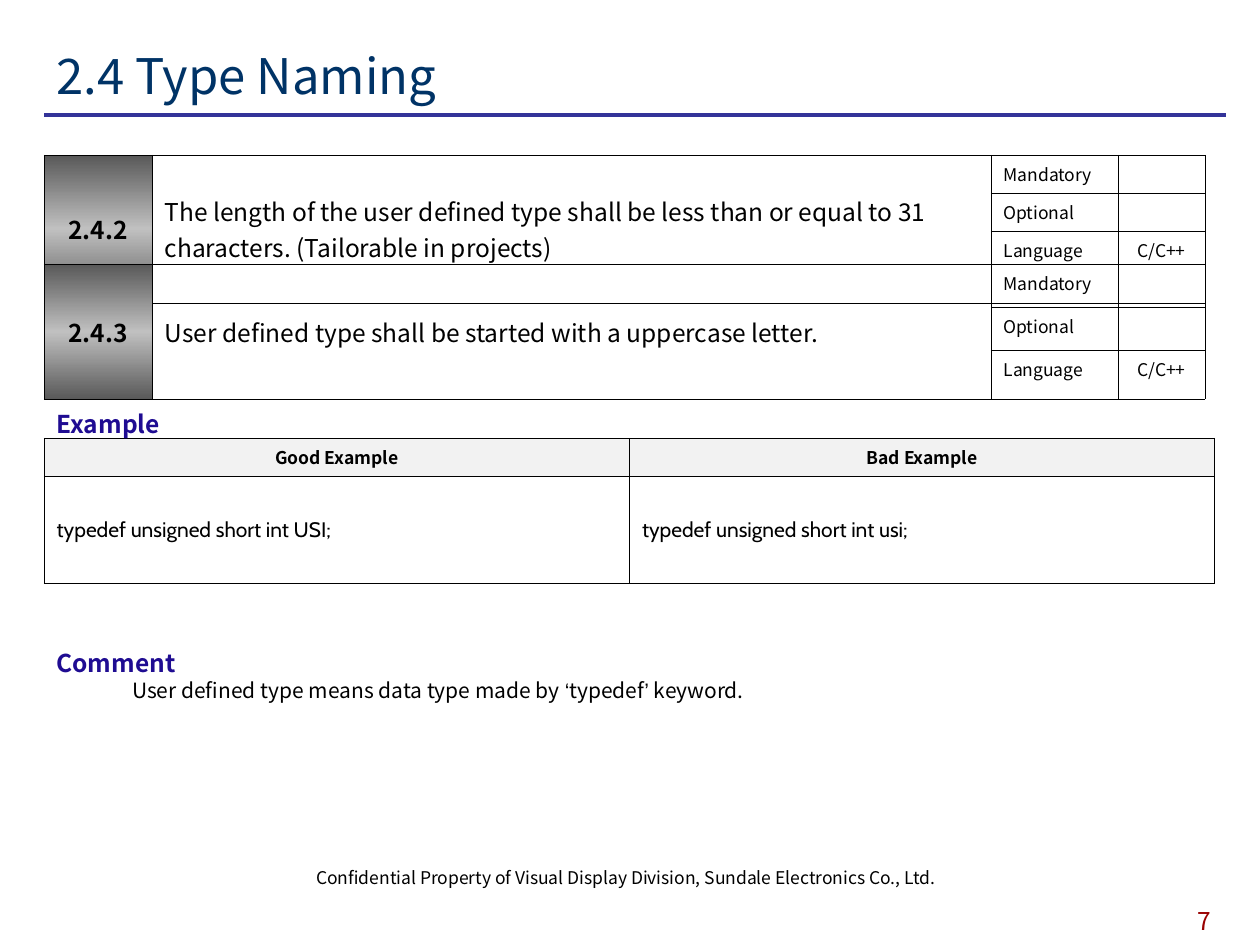
from lxml.etree import SubElement
from pptx import Presentation
from pptx.dml.color import RGBColor
from pptx.enum.shapes import MSO_CONNECTOR
from pptx.enum.text import MSO_ANCHOR, MSO_AUTO_SIZE, PP_ALIGN
from pptx.oxml.ns import qn
from pptx.util import Pt

COLORS = {"text": "000000", "title": "003366", "rule": "333399", "head": "1F0C92",
          "page": "990000", "band": "F2F2F2", "dark": "595959", "light": "C0C0C0"}
FONT = "Noto Sans CJK KR"
LEFT = 25.2
CENTER, JUSTIFY = PP_ALIGN.CENTER, PP_ALIGN.JUSTIFY
MIDDLE = MSO_ANCHOR.MIDDLE
THIN, THICK = 0.23, 0.45


class Page:
    """Holds the style and the slide being filled."""

    def __init__(self, slide):
        self.slide = slide

    def add_runs(self, frame, runs, size, color="text", bold=False, align=None):
        """Fill one paragraph; runs is a list of (words, font) pairs."""
        para = frame.paragraphs[0]
        if align is not None:
            para.alignment = align
        for words, name in runs:
            run = para.add_run()
            run.text = words
            font = run.font
            font.name, font.size, font.bold = name, Pt(size), bold
            font.color.rgb = RGBColor.from_string(COLORS[color])

    def text(self, box, runs, size, wrap=True, grow=False, anchor=None, **style):
        frame = self.slide.shapes.add_textbox(*map(Pt, box)).text_frame
        frame.word_wrap = wrap
        frame.auto_size = MSO_AUTO_SIZE.SHAPE_TO_FIT_TEXT if grow else MSO_AUTO_SIZE.NONE
        if anchor is not None:
            frame.vertical_anchor = anchor
        self.add_runs(frame, runs, size, **style)

    def line(self, x, y, end, color, width):
        rule = self.slide.shapes.add_connector(
            MSO_CONNECTOR.STRAIGHT, Pt(x), Pt(y), Pt(end), Pt(y))
        rule.line.color.rgb = RGBColor.from_string(COLORS[color])
        rule.line.width = Pt(width)
        SubElement(rule._element.spPr, qn("a:effectLst"))

    def table(self, top, cols, rows):
        frame = self.slide.shapes.add_table(
            len(rows), len(cols), Pt(LEFT), Pt(top), Pt(sum(cols)), Pt(sum(rows)))
        table = frame.table
        table.first_row = table.horz_banding = False
        for col, width in zip(table.columns, cols):
            col.width = Pt(width)
        for row, height in zip(table.rows, rows):
            row.height = Pt(height)
        return table

    def cell(self, cell, words, size, edges, fill=None, anchor=None,
             font=FONT, **style):
        """Fill a cell; edges are the left, right, top and bottom widths."""
        props = cell._tc.get_or_add_tcPr()
        for side, width in zip("LRTB", edges):
            edge = SubElement(props, qn(f"a:ln{side}"), w=str(Pt(width)))
            self.solid(edge, "text")
        if fill == "metal":
            self.metal(props)
        elif fill:
            cell.fill.solid()
            cell.fill.fore_color.rgb = RGBColor.from_string(COLORS[fill])
        else:
            cell.fill.background()
        if anchor is not None:
            cell.vertical_anchor = anchor
        if words:
            self.add_runs(cell.text_frame, [(words, font)], size, **style)
        else:
            # An empty cell takes its height from the end mark
            SubElement(cell.text_frame.paragraphs[0]._p, qn("a:endParaRPr"),
                       sz=str(size * 100))

    def solid(self, node, color):
        SubElement(SubElement(node, qn("a:solidFill")), qn("a:srgbClr"),
                   val=COLORS[color])

    def metal(self, props):
        """Three-stop vertical gradient, light in the middle."""
        grad = SubElement(props, qn("a:gradFill"), rotWithShape="1")
        stops = SubElement(grad, qn("a:gsLst"))
        for place, color in ((0, "dark"), (50, "light"), (100, "dark")):
            stop = SubElement(stops, qn("a:gs"), pos=str(place * 1000))
            SubElement(stop, qn("a:srgbClr"), val=COLORS[color])
        SubElement(grad, qn("a:lin"), ang="5400000", scaled="1")

    def rule(self, top, rows, number, words):
        """Table of one coding rule with its three properties."""
        table = self.table(top, (61.7, 479.4, 72.6, 49.7), rows)
        edges = (THIN,) * 4
        for col in (0, 1):
            table.cell(0, col).merge(table.cell(2, col))
            for row in (1, 2):
                self.cell(table.cell(row, col), "", 10, edges)
        self.cell(table.cell(0, 0), number, 14, edges, "metal", MIDDLE,
                  bold=True, align=CENTER)
        self.cell(table.cell(0, 1), words, 14, edges, anchor=MIDDLE)
        facts = (("Mandatory", ""), ("Optional", ""), ("Language", "C/C++"))
        for row, (name, value) in enumerate(facts):
            edges = (THIN, THIN, THICK if row else THIN, THIN if row == 2 else THICK)
            self.cell(table.cell(row, 2), name, 10, edges)
            self.cell(table.cell(row, 3), value, 10, edges, align=CENTER)

    def sample(self, top):
        """Table of good and bad examples."""
        table = self.table(top, (334.5, 334.5), (21.7, 61.2))
        edges = (THICK,) * 4
        pairs = (("Good Example", "typedef unsigned short int USI;"),
                 ("Bad Example", "typedef unsigned short int usi;"))
        for col, (head, code) in enumerate(pairs):
            self.cell(table.cell(0, col), head, 10, edges, "band",
                      bold=True, align=CENTER)
            self.cell(table.cell(1, col), code, 12, edges, anchor=MIDDLE,
                      font="Cabin", align=JUSTIFY)


def main():
    deck = Presentation()
    deck.slide_width, deck.slide_height = Pt(720), Pt(540)
    page = Page(deck.slides.add_slide(deck.slide_layouts[6]))

    page.line(LEFT, 65.7, 700.5, "rule", 2)
    page.text((162, 491.8, 391, 36),
              [("Confidential Property of Visual Display Division, "
                "Sundale Electronics Co., Ltd.", FONT)], 10, align=CENTER)
    page.text((656.6, 514, 63.4, 26), [("7", FONT)], 14, color="page", align=CENTER)
    page.sample(250.4)
    for top, head in ((230.4, "Example"), (366.5, "Comment")):
        page.text((LEFT, top, 65.5, 14.4), [(head, FONT)], 14, wrap=False,
                  color="head", bold=True)
    page.text((68.4, 383.8, 372.2, 21.6),
              [("User defined type means data type made by ", FONT), ("‘", "Arial"),
               ("typedef", FONT), ("’", "Arial"), (" keyword.", FONT)],
              12, wrap=False, grow=True)
    page.rule(88.6, (21.7, 21.7, 41), "2.4.2",
              "The length of the user defined type shall be less than or equal "
              "to 31 characters. (Tailorable in projects)")
    page.text((LEFT, 20.2, 674.6, 45.4), [("2.4 Type Naming", FONT)], 28,
              anchor=MIDDLE, color="title")
    page.rule(151, (24.6, 24.6, 28), "2.4.3",
              "User defined type shall be started with a uppercase letter.")
    deck.save("out.pptx")


if __name__ == "__main__":
    main()
